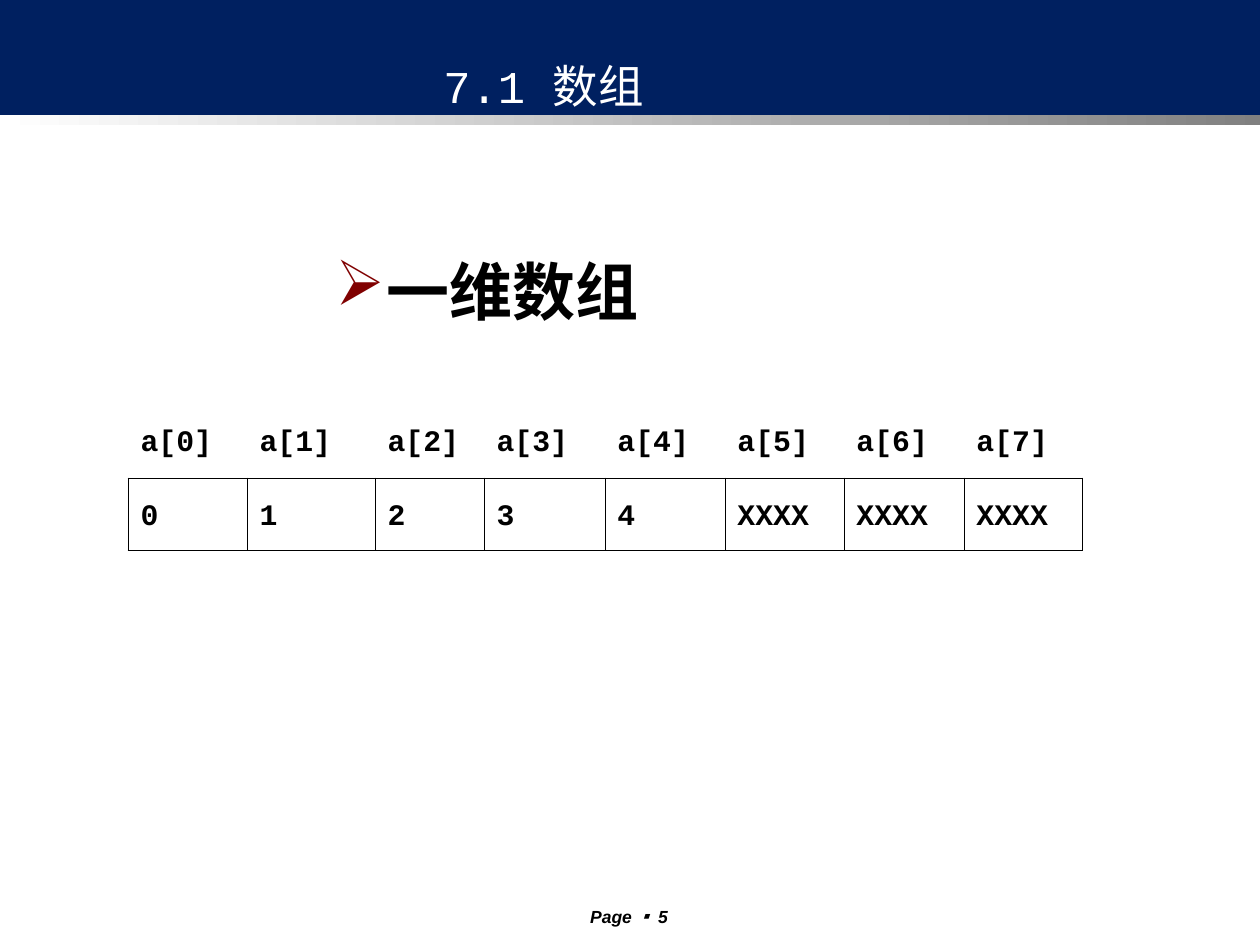
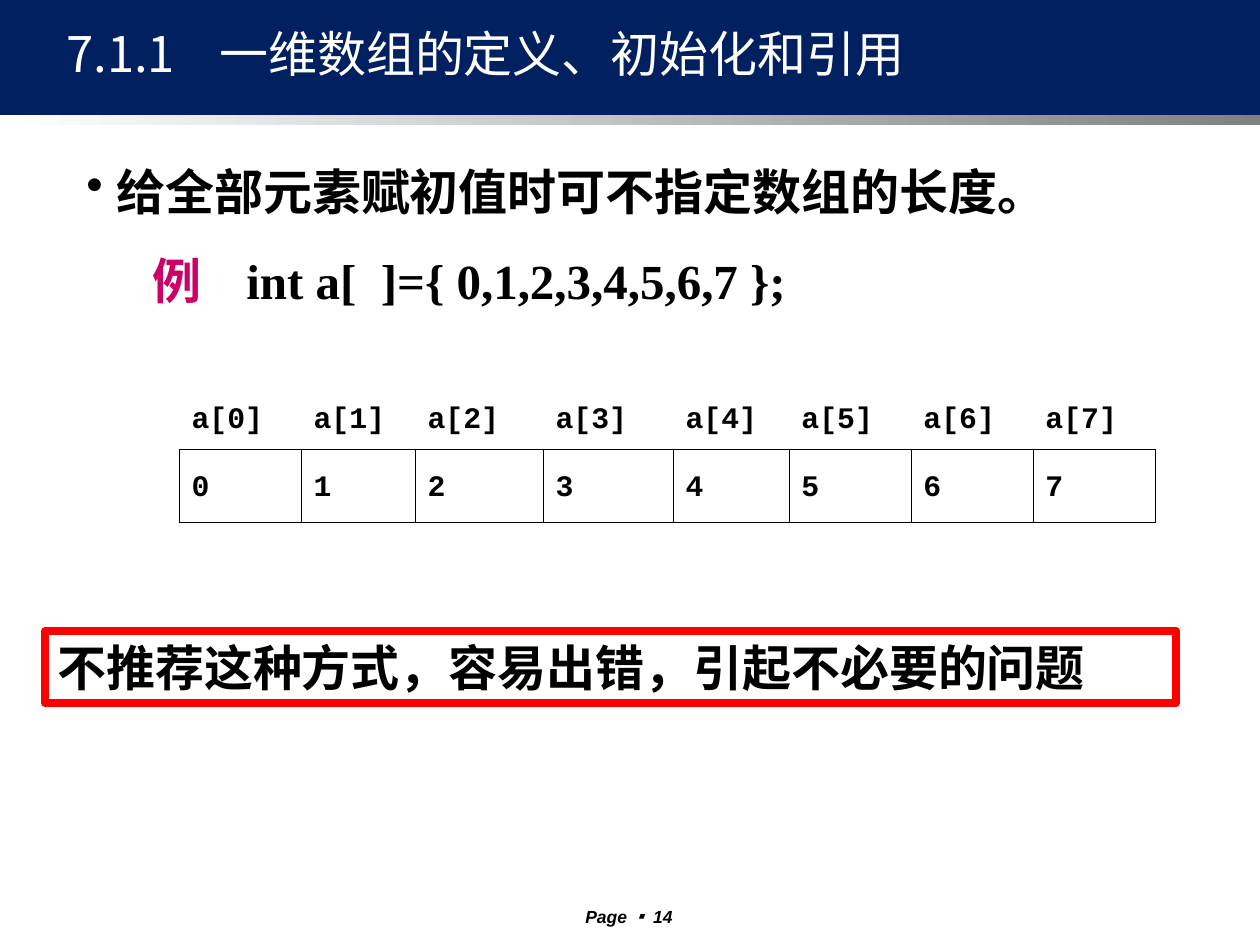
from lxml.etree import SubElement as Sub
from pptx import Presentation
from pptx.dml.color import RGBColor as RGB
from pptx.enum.shapes import MSO_SHAPE as Shape
from pptx.enum.text import MSO_ANCHOR as Anchor, PP_ALIGN as Align
from pptx.oxml.ns import qn
from pptx.util import Pt

SCALE = 914400 / 126
HUES = {"navy": "002060", "white": "FFFFFF", "gray": "808080", "black": "000000",
        "maroon": "800000", "pink": "CC0066", "red": "FF0000"}
CJK = "Noto Sans CJK JP"

FOOT = {"size": 10, "name": "Arial", "bold": True, "italic": True}
HEAD = {"size": 26, "name": "Courier New", "hue": "white"}
SUBHEAD = {"size": 28, "name": CJK, "hue": "white"}
TOPIC = {"size": 36, "name": "Times New Roman", "bold": True}
BODY = {"size": 28, "name": "Times New Roman", "bold": True}
CELL = {"size": 17, "name": "Courier New", "bold": True}
WARN = {"size": 28, "name": "Arial", "bold": True}

# A paragraph is (runs, layout); a run is (text, format).
SLIDES = [
    {"page": "5",
     "texts": [
         {"at": (5, 35, 1077, 100), "mid": True,
          "paras": [([("7.1 数组", HEAD)], {"align": Align.CENTER})]},
         {"at": (323, 224, 605, 118),
          "paras": [([("一维数组", TOPIC)],
                     {"bullet": ("➢", "maroon", 51), "lead": 1.3})]},
     ],
     "array": {"at": (128, 403), "rows": (75, 72),
               "cols": (119, 128, 109, 121, 120, 119, 120, 119),
               "values": ["0", "1", "2", "3", "4", "XXXX", "XXXX", "XXXX"]}},
    {"page": "14",
     "texts": [
         {"at": (54, 6, 993, 94), "mid": True,
          "paras": [([("7.1.1\t一维数组的定义、初始化和引用", SUBHEAD)],
                     {"tabs": (153,)})]},
         {"at": (74, 155, 1029, 161),
          "paras": [([("给全部元素赋初值时可不指定数组的长度。", BODY)],
                     {"bullet": ("•", "black", 30)}),
                    ([("\t例\t", {**BODY, "hue": "pink"}),
                      ("int a[  ]={ 0,1,2,3,4,5,6,7 };", BODY)],
                     {"tabs": (66, 160), "before": 17.5})]},
         {"at": (45, 631, 1131, 72), "edge": ("red", 4.5),
          "paras": [([("不推荐这种方式，容易出错，引起不必要的问题", WARN)], {})]},
     ],
     "array": {"at": (179, 386), "rows": (63, 73),
               "cols": (122, 114, 128, 130, 116, 122, 122, 123),
               "values": list("01234567")}},
]


def px(n):
    return round(n * SCALE)


def box(at):
    return [px(n) for n in at]


def rgb(hue):
    return RGB.from_string(HUES[hue])


def tint(parent, hue):
    Sub(Sub(parent, qn("a:solidFill")), qn("a:srgbClr"), val=HUES[hue])


def write(para, runs, lay):
    """Fill one paragraph with its layout and runs."""
    props = para._p.get_or_add_pPr()
    if "bullet" in lay:
        mark, hue, hang = lay["bullet"]
        props.set("marL", str(px(hang)))
        props.set("indent", str(-px(hang)))
        Sub(Sub(props, qn("a:buClr")), qn("a:srgbClr"), val=HUES[hue])
        Sub(props, qn("a:buChar"), char=mark)
    if "tabs" in lay:
        stops = Sub(props, qn("a:tabLst"))
        for stop in lay["tabs"]:
            Sub(stops, qn("a:tab"), pos=str(px(stop)), algn="l")
    para.alignment = lay.get("align", Align.LEFT)
    para.line_spacing = lay.get("lead", 1.0)
    para.space_before = Pt(lay.get("before", 0))
    for text, form in runs:
        run = para.add_run()
        run.text = text
        run.font.color.rgb = rgb(form.get("hue", "black"))
        for key, val in form.items():
            if key != "hue":
                setattr(run.font, key, Pt(val) if key == "size" else val)


def add_text(slide, at, paras, mid=False, edge=None):
    if edge:
        item = slide.shapes.add_shape(Shape.RECTANGLE, *box(at))
        item.shadow.inherit = False
        item.fill.background()
        item.line.color.rgb = rgb(edge[0])
        item.line.width = Pt(edge[1])
    else:
        item = slide.shapes.add_textbox(*box(at))
    frame = item.text_frame
    frame.word_wrap = True
    frame.vertical_anchor = Anchor.MIDDLE if mid else Anchor.TOP
    for i, (runs, lay) in enumerate(paras):
        write(frame.add_paragraph() if i else frame.paragraphs[0], runs, lay)


def add_band(slide, at):
    band = slide.shapes.add_shape(Shape.RECTANGLE, *box(at))
    band.shadow.inherit = False
    band.line.fill.background()
    return band.fill


def add_frame(slide, page):
    """Draw the header bands and the page footer."""
    fill = add_band(slide, (0, 0, 1265, 115))
    fill.solid()
    fill.fore_color.rgb = rgb("navy")
    fill = add_band(slide, (0, 115, 1265, 10))
    fill.gradient()
    fill.gradient_angle = 0
    for stop, hue, pos in zip(fill.gradient_stops, ("white", "gray"), (0, 1)):
        stop.color.rgb = rgb(hue)
        stop.position = pos
    runs = [("Page ", FOOT), ("▪ ", {**FOOT, "name": CJK}), (page, FOOT)]
    add_text(slide, (530, 900, 198, 28), [(runs, {"align": Align.CENTER})])


def set_edges(cell, shown):
    props = cell._tc.get_or_add_tcPr()
    for side in "LRTB":
        line = Sub(props, qn("a:ln" + side), w=str(Pt(0.45)))
        if side in shown:
            tint(line, "black")
        else:
            Sub(line, qn("a:noFill"))


def add_array(slide, at, rows, cols, values):
    """Draw index labels above a row of bordered values."""
    size = sum(cols), sum(rows)
    grid = slide.shapes.add_table(2, len(cols), *box(at + size)).table
    grid.first_row = grid.horz_banding = False
    for part, sizes, key in ((grid.columns, cols, "width"), (grid.rows, rows, "height")):
        for item, n in zip(part, sizes):
            setattr(item, key, px(n))
    labels = [f"a[{i}]" for i in range(len(cols))]
    for r, (texts, shown) in enumerate(((labels, "B"), (values, "LRTB"))):
        for c, text in enumerate(texts):
            cell = grid.cell(r, c)
            cell.vertical_anchor = Anchor.MIDDLE
            set_edges(cell, shown)
            cell.fill.background()
            write(cell.text_frame.paragraphs[0], [(text, CELL)], {"lead": 1.2})


def main():
    deck = Presentation()
    deck.slide_width, deck.slide_height = px(1260), px(945)
    for data in SLIDES:
        slide = deck.slides.add_slide(deck.slide_layouts[6])
        add_frame(slide, data["page"])
        for text in data["texts"]:
            add_text(slide, **text)
        add_array(slide, **data["array"])
    deck.save("out.pptx")


if __name__ == "__main__":
    main()
